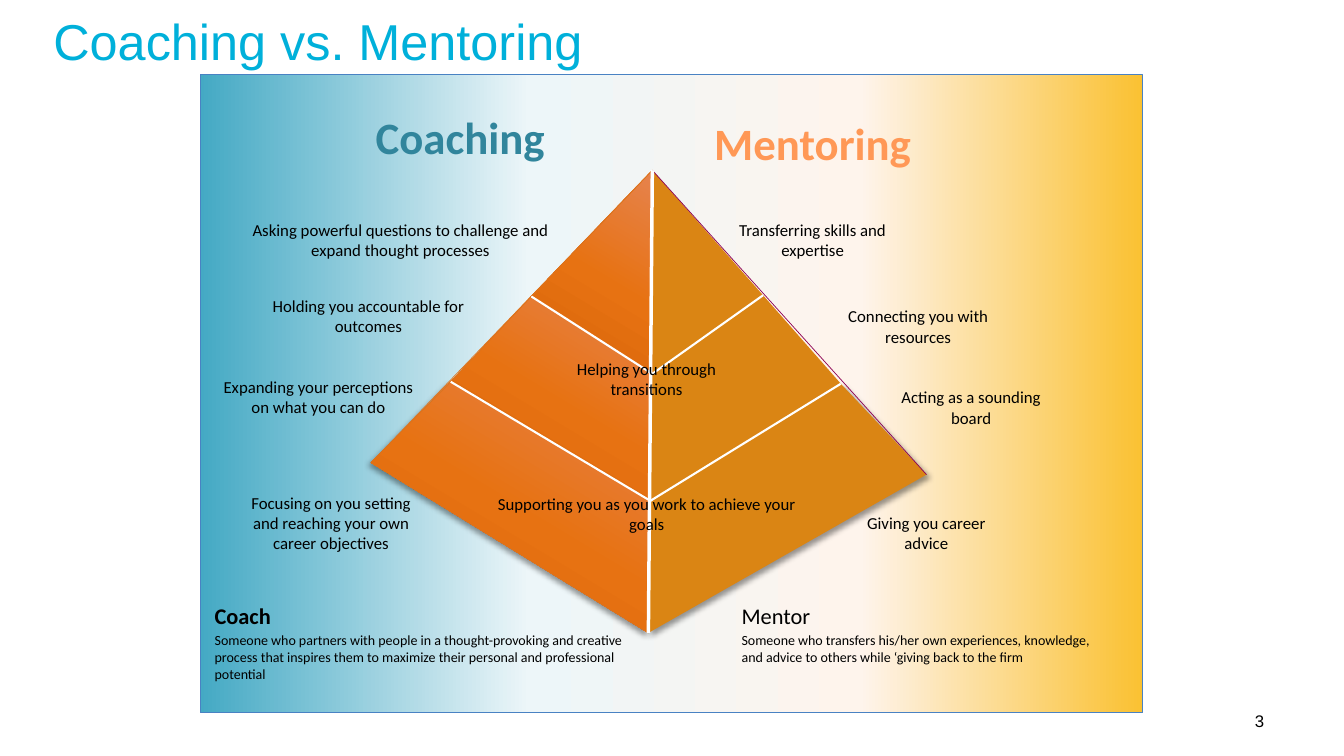
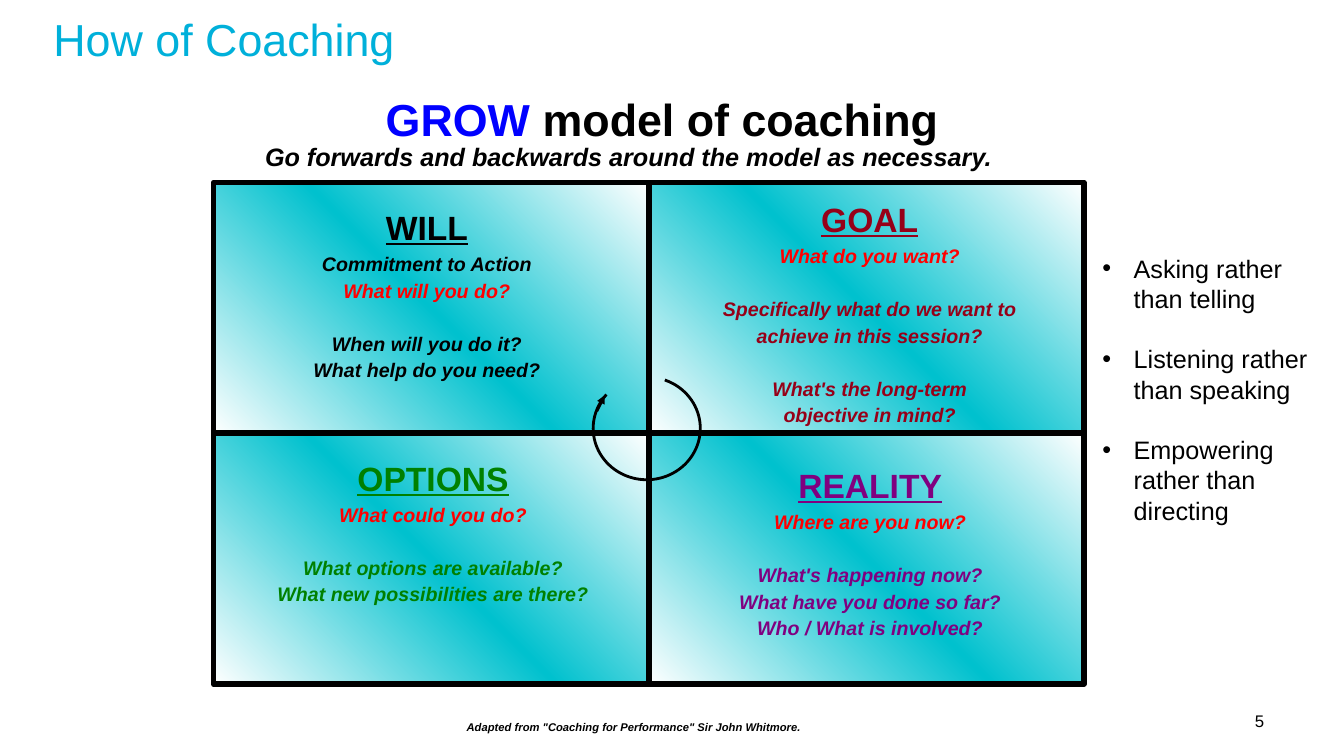
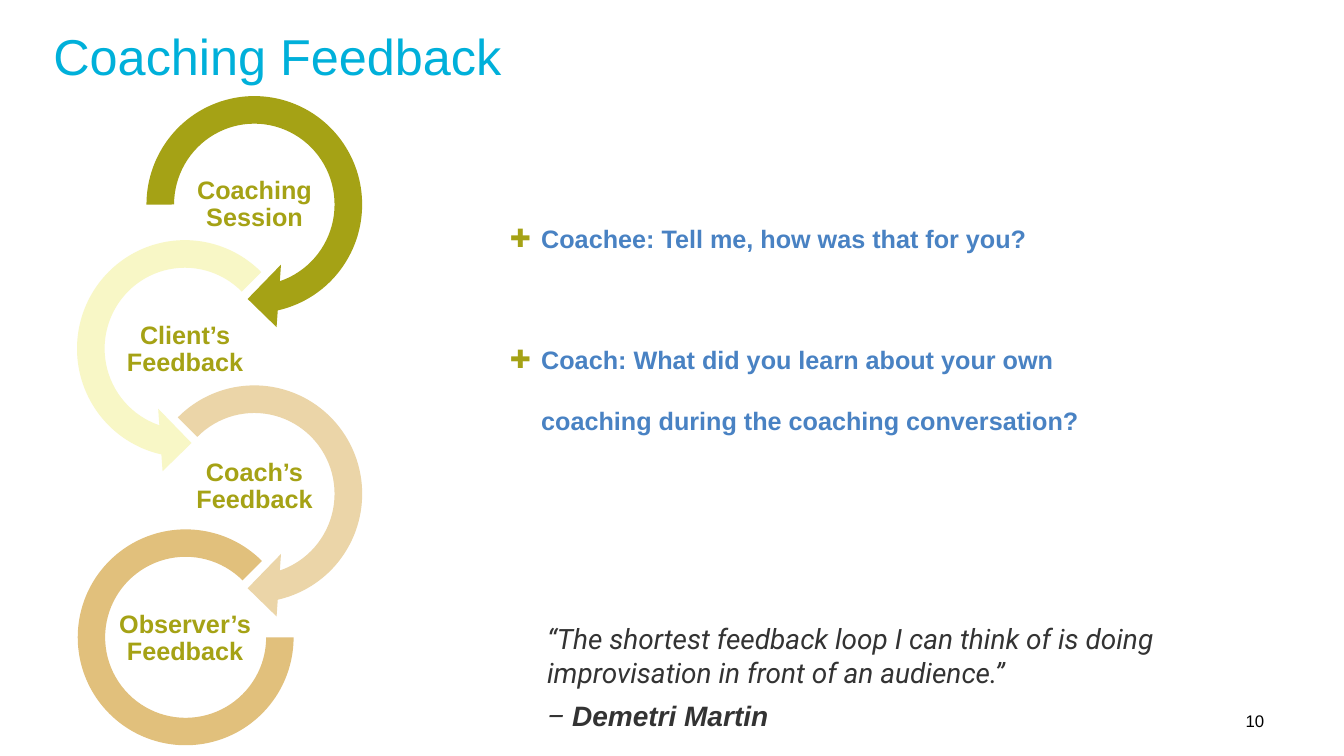
from lxml import etree
from pptx import Presentation
from pptx.dml.color import RGBColor
from pptx.enum.shapes import MSO_CONNECTOR, MSO_SHAPE
from pptx.enum.text import MSO_ANCHOR, MSO_AUTO_SIZE, PP_ALIGN
from pptx.oxml.ns import qn
from pptx.util import Cm, Pt

TOP, MIDDLE, BOTTOM = MSO_ANCHOR.TOP, MSO_ANCHOR.MIDDLE, MSO_ANCHOR.BOTTOM
LEFT, CENTER, RIGHT = PP_ALIGN.LEFT, PP_ALIGN.CENTER, PP_ALIGN.RIGHT
STRAIGHT = MSO_CONNECTOR.STRAIGHT
RECTANGLE, ARC, BLOCK_ARC = MSO_SHAPE.RECTANGLE, MSO_SHAPE.ARC, MSO_SHAPE.BLOCK_ARC
TURN_RIGHT, TURN_LEFT = MSO_SHAPE.CIRCULAR_ARROW, MSO_SHAPE.LEFT_CIRCULAR_ARROW

BLACK, WHITE, CYAN, BLUE = "000000", "FFFFFF", "00B0DA", "4982C3"
RED, OLIVE, RUST, AMBER = "FF0000", "A5A215", "DD731C", "DA8514"
PANEL_STOPS = [(0, "44A9C4"), (35, "EDF6F9"), (70, "FEF4EC"), (100, "FAC132")]
FACE_STOPS = [(0, "E6834E"), (50, "E77212"), (100, "D66508")]
CELL_STOPS = [(0, WHITE), (50, "00C1CE"), (100, WHITE)]


def rgb(value):
    """Turn a hex string into a colour."""
    return RGBColor.from_string(value)


def font(size, color=BLACK, name="Arial", **extra):
    """Describe a run format."""
    return {"size": Pt(size), "color": color, "name": name, **extra}


def child(parent, tag, **attributes):
    """Append a DrawingML element."""
    return etree.SubElement(parent, qn(f"a:{tag}"), attributes)


def cm_box(left, top, width, height, origin=(0, 0)):
    """Convert a box in centimetres, measured from an origin."""
    return Cm(origin[0] + left), Cm(origin[1] + top), Cm(width), Cm(height)


def add_bullet(paragraph, symbol, color):
    """Give a paragraph a hanging bullet."""
    properties = paragraph._p.get_or_add_pPr()
    properties.set("marL", str(Cm(0.79)))
    properties.set("indent", str(-Cm(0.79)))
    child(child(properties, "buClr"), "srgbClr", val=color)
    child(properties, "buFont", typeface="Arial")
    child(properties, "buChar", char=symbol)


def fill_text(frame, paragraphs, anchor=TOP, inset=None, bullet=None):
    """Write (runs, format) paragraphs into a text frame."""
    settings = {"word_wrap": True, "auto_size": MSO_AUTO_SIZE.NONE, "vertical_anchor": anchor}
    if inset is not None:
        for side in ("left", "top", "right", "bottom"):
            settings[f"margin_{side}"] = Cm(inset)
    for key, value in settings.items():
        setattr(frame, key, value)
    for index, (runs, layout) in enumerate(paragraphs):
        paragraph = frame.add_paragraph() if index else frame.paragraphs[0]
        for key, value in layout.items():
            setattr(paragraph, key, value)
        if bullet:
            add_bullet(paragraph, *bullet)
        for words, style in runs:
            run = paragraph.add_run()
            run.text = words
            for key, value in style.items():
                if key == "color":
                    run.font.color.rgb = rgb(value)
                else:
                    setattr(run.font, key, value)


def add_text(slide, box, paragraphs, **options):
    """Add a text box."""
    fill_text(slide.shapes.add_textbox(*box).text_frame, paragraphs, **options)


def line(words, style, **layout):
    """Describe a paragraph of one run."""
    return [(words, style)], layout


def paint(shape, fill=None, angle=0, outline=None, shadow_angle=None):
    """Set fill, outline and shadow of a shape."""
    shape.shadow.inherit = False
    if fill is None:
        shape.fill.background()
    elif isinstance(fill, str):
        shape.fill.solid()
        shape.fill.fore_color.rgb = rgb(fill)
    else:
        shape.fill.gradient()
        shape.fill.gradient_angle = (360 - angle) % 360
        stops = shape._element.spPr.find(f".//{qn('a:gsLst')}")
        for stop in list(stops):
            stops.remove(stop)
        for position, color in fill:
            child(child(stops, "gs", pos=str(position * 1000)), "srgbClr", val=color)
    if outline:
        color, width = outline
        shape.line.color.rgb = rgb(color)
        shape.line.width = Pt(width)
    else:
        shape.line.fill.background()
    if shadow_angle is not None:
        effects = shape._element.spPr.find(qn("a:effectLst"))
        outer = child(effects, "outerShdw", blurRad=str(Pt(4)), dist=str(Pt(3)),
                      dir=str(shadow_angle * 60000), rotWithShape="0")
        child(child(outer, "srgbClr", val=BLACK), "alpha", val="40000")


def add_line(slide, start, end, color, width, arrow=False):
    """Join two points with a straight line."""
    connector = slide.shapes.add_connector(STRAIGHT, *start, *end)
    connector.line.color.rgb = rgb(color)
    connector.line.width = Pt(width)
    if arrow:
        child(connector.line._get_or_add_ln(), "tailEnd", type="triangle")
    child(connector._element.spPr, "effectLst")


def new_slide(deck, title, top, height, size, number):
    """Start a slide with its title and number."""
    slide = deck.slides.add_slide(deck.slide_layouts[5])
    heading = slide.shapes.title
    heading.left, heading.top, heading.width, heading.height = cm_box(1.09, top, 31.67, height)
    fill_text(heading.text_frame,
              [line(title, font(size, CYAN), alignment=LEFT, line_spacing=0.9)], anchor=BOTTOM)
    add_text(slide, cm_box(24.21, 17.65, 7.9, 1.02),
             [line(number, font(12), alignment=RIGHT)], anchor=MIDDLE)
    return slide


def pyramid(slide, left, top):
    """Draw the two-sided, three-tier pyramid."""
    def place(points):
        return [(Cm(left + x), Cm(top + y)) for x, y in points]

    apex = (7.09, 0)
    spine = place([apex, (7.09, 5.13), (7.04, 8.33), (6.99, 11.66)])
    left_edge = place([apex, (4.04, 3.18), (2.01, 5.33), (0, 7.37)])
    right_edge = place([apex, (9.88, 3.15), (11.84, 5.38), (14, 7.67)])
    sides = [(left_edge, FACE_STOPS, (RUST, 0.5), 135), (right_edge, AMBER, None, 45)]
    for edge, fill, outline, shadow_angle in sides:
        for tier in range(3):
            face = slide.shapes.build_freeform(*edge[tier], scale=1.0)
            face.add_line_segments([edge[tier + 1], spine[tier + 1], spine[tier]], close=True)
            paint(face.convert_to_shape(), fill, 121, outline,
                  shadow_angle if tier == 2 else None)
    for edge, color in ((left_edge, RUST), (right_edge, "8C0052")):
        add_line(slide, edge[0], edge[3], color, 0.5)
    for edge in (left_edge, right_edge):
        for tier in (1, 2):
            add_line(slide, edge[tier], spine[tier], WHITE, 1.5)
    add_line(slide, spine[0], spine[3], WHITE, 2.5)


def comparison(slide, left, top, width, height):
    """Build the panel comparing coaching and mentoring."""
    origin = (left, top)
    panel = slide.shapes.add_shape(RECTANGLE, *cm_box(left, top, width, height))
    paint(panel, PANEL_STOPS, outline=(BLUE, 0.5))
    pyramid(slide, left + 4.3, top + 2.41)
    practices = [
        (7.12, 10.44, 8.26, "Supporting you as you work to achieve your goals"),
        (8.92, 7.04, 4.65, "Helping you through transitions"),
        (1.35, 5.44, 5.77, "Holding you accountable for outcomes"),
        (0.56, 3.53, 8.97, "Asking powerful questions to challenge and expand thought processes"),
        (0.23, 7.49, 5.49, "Expanding your perceptions on what you can do"),
        (12.98, 3.53, 4.9, "Transferring skills and expertise"),
        (15.7, 5.71, 4.78, "Connecting you with resources"),
        (16.39, 10.92, 3.81, "Giving you career advice"),
        (17.05, 7.75, 4.75, "Acting as a sounding board"),
        (0.72, 10.41, 5.15, "Focusing on you setting and reaching your own career objectives"),
    ]
    for x, y, span, words in practices:
        add_text(slide, cm_box(x, y, span, 1.27, origin),
                 [line(words, font(12, name="Calibri"), alignment=CENTER)])
    for x, y, words, color in ((4.17, 0.76, "Coaching", "31859C"),
                               (12.7, 0.91, "Mentoring", "FF9856")):
        add_text(slide, cm_box(x, y, 6.73, 1.63, origin),
                 [line(words, font(32, color, "Calibri", bold=True))])
    definitions = [
        (0.11, 10.82, "Coach", True,
         "Someone who partners with people in a thought-provoking and creative process "
         "that inspires them to maximize their personal and professional potential"),
        (13.39, 9.83, "Mentor", False,
         "Someone who transfers his/her own experiences, knowledge, and advice to others "
         "while ‘giving back to the firm"),
    ]
    for x, span, role, bold, meaning in definitions:
        add_text(slide, cm_box(x, 13.18, span, 2.29, origin),
                 [line(role, font(16, name="Calibri", bold=bold)),
                  line(meaning, font(10, name="Calibri"), space_before=Pt(1.5))])


def quadrant_text(slide, box, title, color, questions):
    """Write a quadrant's title and its (text, colour, gap) questions."""
    paragraphs = [line(title, font(24, color, bold=True, underline=True),
                       alignment=CENTER, space_after=Pt(3.6))]
    for words, tint, gap in questions:
        paragraphs.append(line(words, font(14, tint, bold=True, italic=True), alignment=CENTER,
                               space_before=Pt(18.9 if gap else 0), space_after=Pt(2.1)))
    add_text(slide, box, paragraphs, inset=0)


def grow_grid(slide, left, top, cell_width, cell_height):
    """Build the four quadrants and the circling arrow."""
    maroon, purple, green = "960018", "800080", "008000"
    quadrants = [
        (0, 0, (1.52, 0.61, 7.72, 4.52), "WILL", BLACK,
         [("Commitment to Action", BLACK, False), ("What will you do?", RED, False),
          ("When will you do it?", BLACK, True), ("What help do you need?", BLACK, False)]),
        (1, 0, (0.58, 0.41, 9.98, 5.92), "GOAL", maroon,
         [("What do you want?", RED, False),
          ("Specifically what do we want to", maroon, True),
          ("achieve in this session?", maroon, False),
          ("What's the long-term", maroon, True), ("objective in mind?", maroon, False)]),
        (1, 1, (1.12, 0.79, 8.92, 4.52), "REALITY", purple,
         [("Where are you now?", RED, False), ("What's happening now?", purple, True),
          ("What have you done so far?", purple, False),
          ("Who / What is involved?", purple, False)]),
        (0, 1, (0.25, 0.61, 10.57, 3.84), "OPTIONS", green,
         [("What could you do?", RED, False), ("What options are available?", green, True),
          ("What new possibilities are there?", green, False)]),
    ]
    corners = [(left + column * cell_width, top + row * cell_height)
               for column, row, *_ in quadrants]
    for corner in corners:
        cell = slide.shapes.add_shape(RECTANGLE, *cm_box(*corner, cell_width, cell_height))
        paint(cell, CELL_STOPS, 315, (BLACK, 4))
    for corner, (_, _, area, title, color, questions) in zip(corners, quadrants):
        quadrant_text(slide, cm_box(*area, corner), title, color, questions)
    loop = slide.shapes.add_shape(ARC, *cm_box(9.57, 4.9, 2.7, 2.59, (left, top)))
    loop.adjustments[0], loop.adjustments[1] = 174.3, 132
    paint(loop, outline=(BLACK, 2))
    add_line(slide, (Cm(left + 9.66), Cm(top + 5.76)), (Cm(left + 9.86), Cm(top + 5.36)),
             BLACK, 2, arrow=True)


def grow_notes(slide):
    """Write the headline, guidance, habits and source around the grid."""
    add_text(slide, cm_box(11.76, 18.14, 8.76, 0.36),
             [line('Adapted from "Coaching for Performance" Sir John Whitmore.',
                   font(8, bold=True, italic=True))], inset=0)
    add_text(slide, cm_box(6.68, 3.56, 19.25, 0.76),
             [line("Go forwards and backwards around the model as necessary.",
                   font(18, bold=True, italic=True))], inset=0)
    add_text(slide, cm_box(5.08, 2.31, 23.22, 1.37),
             [([("GROW ", font(32, "0000FF", bold=True)),
                ("model of coaching", font(32, bold=True))], {"alignment": CENTER})],
             anchor=MIDDLE, inset=0)
    habits = ["Asking rather than telling", "Listening rather than speaking",
              "Empowering rather than directing"]
    add_text(slide, cm_box(27.53, 6.25, 5.84, 7.19),
             [line(habit, font(18), space_before=Pt(21.6 if index else 0))
              for index, habit in enumerate(habits)], bullet=("•", BLACK))


def feedback_cycle(slide, left, top):
    """Draw the chain of feedback rings with their labels."""
    origin = (left, top)
    steps = [
        (TURN_RIGHT, (1.75, 0, 6.32, 6.35), (0.11, 11.42, 45, 108, 0.125), OLIVE,
         (3.15, 2.29), "Coaching Session"),
        (TURN_LEFT, (0, 3.63, 6.32, 6.35), (0.11, 11.42, 63, 189, 0.125), "F8F7C6",
         (1.4, 5.94), "Client’s Feedback"),
        (TURN_RIGHT, (1.75, 7.29, 6.32, 6.35), (0.11, 11.42, 45, 135, 0.125), "EBD5A8",
         (3.15, 9.4), "Coach’s Feedback"),
        (BLOCK_ARC, (0.46, 11.36, 5.44, 5.44), (0, 189, 0.127), "E1C07C",
         (1.4, 13.23), "Observer’s Feedback"),
    ]
    for outline, area, bends, color, label_corner, label in steps:
        ring = slide.shapes.add_shape(outline, *cm_box(*area, origin))
        for index, bend in enumerate(bends):
            ring.adjustments[index] = bend
        paint(ring, color)
        add_text(slide, cm_box(*label_corner, 3.53, 1.78, origin),
                 [line(label, font(18, OLIVE, bold=True), alignment=CENTER, line_spacing=0.9)],
                 anchor=MIDDLE, inset=0.03)


def feedback_words(slide):
    """Write the feedback questions and the closing quote."""
    questions = ["Coachee: Tell me, how was that for you?",
                 "Coach: What did you learn about your own coaching during the coaching "
                 "conversation?"]
    add_text(slide, cm_box(12.6, 4.75, 15.19, 6.17),
             [line(question, font(18, BLUE, bold=True), line_spacing=2.0,
                   space_before=Pt(43.2 if index else 0))
              for index, question in enumerate(questions)], bullet=("✚", OLIVE))
    quote = font(20, "333333", "Roboto", italic=True)
    author = font(20, "333333", bold=True, italic=True)
    add_text(slide, cm_box(13.54, 15.54, 18.26, 3.07),
             [line("“The shortest feedback loop I can think of is doing improvisation "
                   "in front of an audience.”", quote),
              ([("– ", quote), ("Demetri Martin", author)], {"space_before": Pt(7.2)})])


def main():
    """Build and save the deck."""
    deck = Presentation()
    deck.slide_width, deck.slide_height = Cm(33.87), Cm(19.05)
    comparison(new_slide(deck, "Coaching vs. Mentoring", 0.15, 1.78, 36, "3"),
               5.05, 1.88, 23.75, 16.08)
    grow = new_slide(deck, "How of Coaching", 0.3, 1.5, 32, "5")
    grow_notes(grow)
    grow_grid(grow, 5.38, 4.6, 10.97, 6.32)
    feedback = new_slide(deck, "Coaching Feedback", 0.13, 2.18, 36, "10")
    feedback_cycle(feedback, 1.5, 1.98)
    feedback_words(feedback)
    deck.save("out.pptx")


if __name__ == "__main__":
    main()
